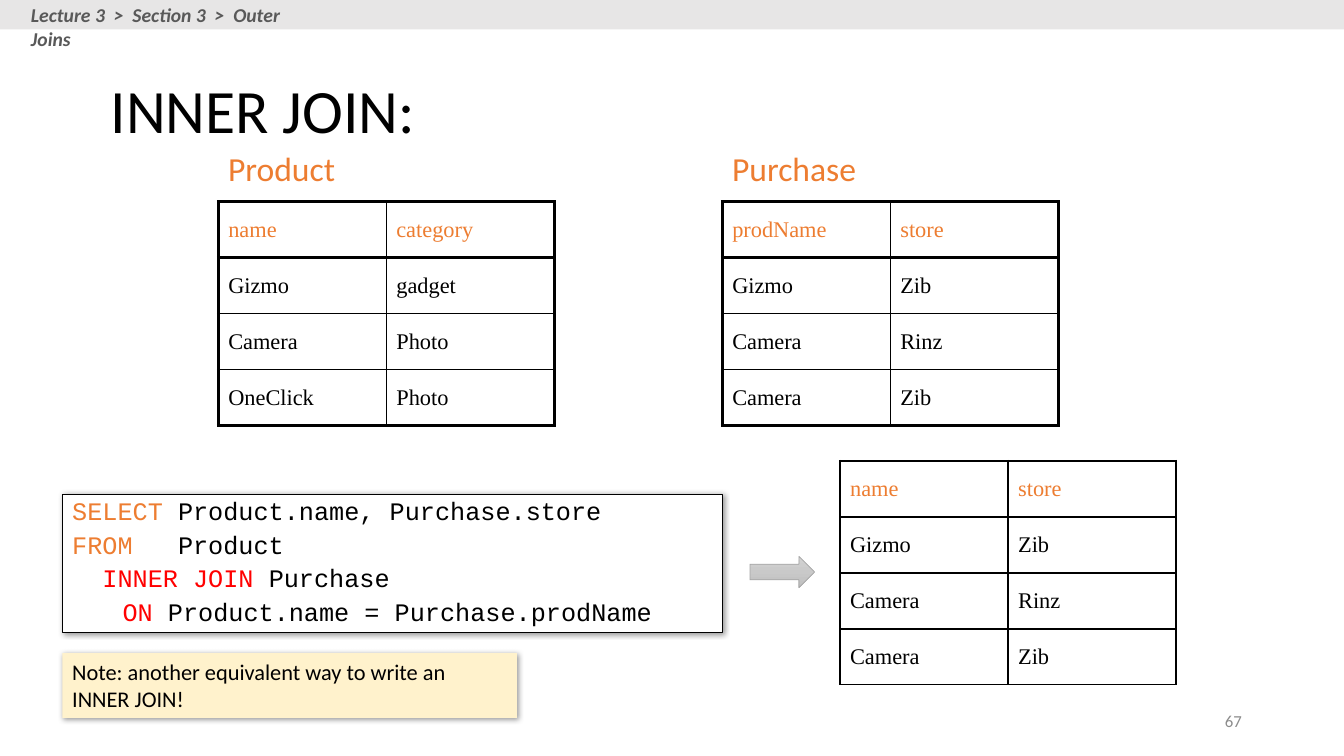
from dataclasses import dataclass
from typing import NamedTuple

from lxml.etree import SubElement
from pptx import Presentation
from pptx.dml.color import RGBColor
from pptx.enum.shapes import MSO_SHAPE
from pptx.enum.text import MSO_ANCHOR, PP_ALIGN
from pptx.oxml.ns import qn
from pptx.util import Cm, Pt


@dataclass(frozen=True)
class Theme:
    black: str = "000000"
    white: str = "FFFFFF"
    orange: str = "ED7D31"
    red: str = "FF0000"
    bar: str = "E7E6E6"
    crumb: str = "595959"
    page: str = "8C8C8C"
    note: str = "FFF2CC"
    light: str = "D2D2D2"
    dark: str = "C0C0C0"
    edge: str = "A5A5A5"
    sans: str = "Calibri"
    serif: str = "Times New Roman"
    mono: str = "Courier New"
    title_size: int = 44
    label_size: int = 24
    code_size: int = 18
    body_size: int = 16
    crumb_size: int = 14
    page_size: int = 12
    thick: float = 2.25
    mid: float = 1.5
    thin: float = 1


class Box(NamedTuple):
    left: float
    top: float
    width: float
    height: float

    def place(self):
        return [Cm(side) for side in self]


T = Theme()
ROW = 1.41


def add_run(para, text, size, color, face=T.sans, bold=False):
    run = para.add_run()
    run.text = text
    font = run.font
    font.name, font.size = face, Pt(size)
    font.bold = font.italic = bold
    font.color.rgb = RGBColor.from_string(color)


def add_text(slide, box, text, size, color, bold=False, wrap=True,
             anchor=MSO_ANCHOR.TOP, align=PP_ALIGN.LEFT):
    frame = slide.shapes.add_textbox(*box.place()).text_frame
    frame.word_wrap = wrap
    frame.vertical_anchor = anchor
    para = frame.paragraphs[0]
    para.alignment = align
    add_run(para, text, size, color, bold=bold)
    return para


def add_block(slide, box, fill, kind=MSO_SHAPE.RECTANGLE):
    block = slide.shapes.add_shape(kind, *box.place())
    block.shadow.inherit = False
    block.fill.solid()
    block.fill.fore_color.rgb = RGBColor.from_string(fill)
    block.line.fill.background()
    frame = block.text_frame
    frame.word_wrap = True
    frame.vertical_anchor = MSO_ANCHOR.TOP
    frame.paragraphs[0].alignment = PP_ALIGN.LEFT
    return block


def set_line(shape, color, width):
    shape.line.color.rgb = RGBColor.from_string(color)
    shape.line.width = Pt(width)


def cast_shade(block):
    effects = block._element.spPr.find(qn("a:effectLst"))
    shade = SubElement(effects, qn("a:outerShdw"), blurRad=str(Pt(4)),
                       dist=str(Pt(1)), dir="2700000", algn="tl", rotWithShape="0")
    color = SubElement(shade, qn("a:srgbClr"), val=T.black)
    SubElement(color, qn("a:alpha"), val="40000")


def add_edge(cell, side, width):
    line = SubElement(cell._tc.get_or_add_tcPr(), qn("a:ln" + side), w=str(Pt(width)))
    fill = SubElement(line, qn("a:solidFill"))
    SubElement(fill, qn("a:srgbClr"), val=T.black)


def add_grid(slide, box, rows, outer, inner):
    last, end = len(rows), len(rows[0])
    table = slide.shapes.add_table(last, end, *box.place()).table
    table.first_row = table.horz_banding = False
    cols = [outer if i in (0, end) else inner for i in range(end + 1)]
    lines = [outer if i in (0, 1, last) else inner for i in range(last + 1)]
    for r, words in enumerate(rows):
        table.rows[r].height = Cm(box.height / last)
        for c, word in enumerate(words):
            table.columns[c].width = Cm(box.width / end)
            cell = table.cell(r, c)
            cell.vertical_anchor = MSO_ANCHOR.MIDDLE
            add_run(cell.text_frame.paragraphs[0], word, T.body_size,
                    T.black if r else T.orange, T.serif)
            for side, width in zip("LRTB", (*cols[c:c + 2], *lines[r:r + 2])):
                add_edge(cell, side, width)
            cell.fill.background()


def add_source(slide, box, name, rows):
    grid = ROW * len(rows)
    label = box.height - grid
    add_text(slide, Box(box.left, box.top, box.width, label), name,
             T.label_size, T.orange, wrap=False)
    add_grid(slide, Box(box.left, box.top + label, box.width, grid),
             rows, T.thick, T.thin)


def add_header(slide, box):
    add_block(slide, box, T.bar)
    add_text(slide, Box(box.left + 0.53, box.top - 0.05, 7.77, 0.86),
             "Lecture 3  >  Section 3  >  Outer Joins", T.crumb_size, T.crumb, bold=True)


def add_title(slide, box):
    para = add_text(slide, box, "INNER JOIN:", T.title_size, T.black,
                    anchor=MSO_ANCHOR.MIDDLE)
    para.line_spacing = 0.9


def add_code(slide, box, lines):
    block = add_block(slide, box, T.white)
    set_line(block, T.black, 0.75)
    cast_shade(block)
    frame = block.text_frame
    frame.word_wrap = False
    for i, parts in enumerate(lines):
        para = frame.add_paragraph() if i else frame.paragraphs[0]
        para.alignment = PP_ALIGN.LEFT
        para.line_spacing = 0.9
        if i:
            para.space_before = Pt(4.5)
        for text, color in parts:
            add_run(para, text, T.code_size, color, T.mono)


def add_note(slide, box, text):
    block = add_block(slide, box, T.note)
    cast_shade(block)
    add_run(block.text_frame.paragraphs[0], text, T.body_size, T.black)


def add_arrow(slide, box):
    arrow = add_block(slide, box, T.light, MSO_SHAPE.RIGHT_ARROW)
    arrow.fill.gradient()
    arrow.fill.gradient_angle = 270
    for stop, color in zip(arrow.fill.gradient_stops, (T.light, T.dark)):
        stop.color.rgb = RGBColor.from_string(color)
    set_line(arrow, T.edge, 0.5)


def main():
    deck = Presentation()
    deck.slide_width, deck.slide_height = Cm(33.87), Cm(19.05)
    slide = deck.slides.add_slide(deck.slide_layouts[6])
    add_header(slide, Box(0, 0, 33.87, 0.74))
    add_title(slide, Box(2.54, 1.27, 22.86, 3.18))
    add_source(slide, Box(5.5, 3.61, 8.47, 7.11), "Product", [
        ("name", "category"), ("Gizmo", "gadget"),
        ("Camera", "Photo"), ("OneClick", "Photo")])
    sales = [("Gizmo", "Zib"), ("Camera", "Rinz"), ("Camera", "Zib")]
    add_source(slide, Box(18.2, 3.61, 8.47, 7.11), "Purchase",
               [("prodName", "store"), *sales])
    add_grid(slide, Box(21.17, 11.61, 8.47, 4 * ROW),
             [("name", "store"), *sales], T.mid, T.mid)
    add_code(slide, Box(1.57, 12.45, 16.64, 3.48), [
        [("SELECT ", T.orange), ("Product.name, Purchase.store", T.black)],
        [("FROM", T.orange), ("   Product", T.black)],
        [("  ", T.orange), ("INNER JOIN ", T.red), ("Purchase", T.black)],
        [("\tON ", T.red), ("Product.name = Purchase.prodName", T.black)]])
    add_note(slide, Box(1.57, 16.46, 11.46, 1.63),
             "Note: another equivalent way to write an INNER JOIN!")
    add_arrow(slide, Box(18.9, 14.02, 1.63, 0.79))
    add_text(slide, Box(23.93, 17.65, 7.62, 1.02), "67", T.page_size, T.page,
             anchor=MSO_ANCHOR.MIDDLE, align=PP_ALIGN.RIGHT)
    deck.save("out.pptx")


if __name__ == "__main__":
    main()
